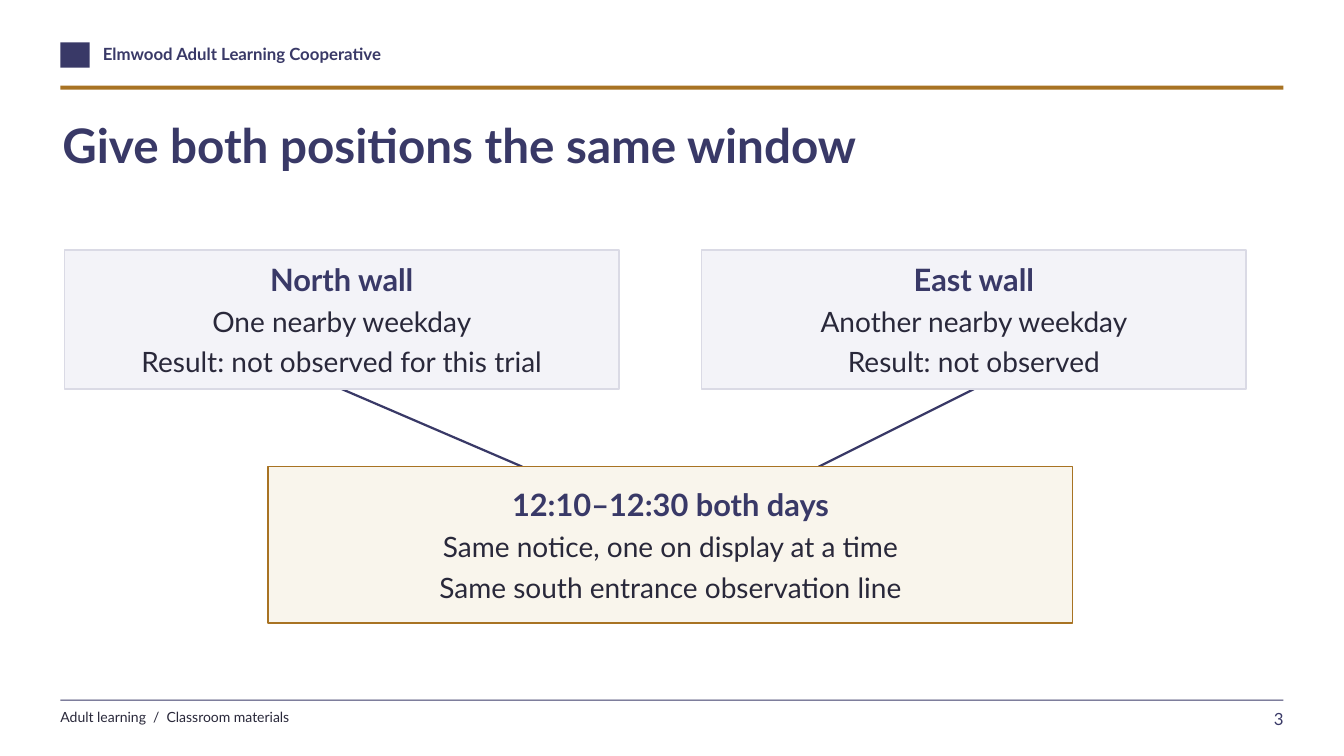
from dataclasses import dataclass

from lxml.etree import SubElement
from pptx import Presentation
from pptx.dml.color import RGBColor
from pptx.enum.shapes import MSO_CONNECTOR, MSO_SHAPE
from pptx.enum.text import MSO_ANCHOR, PP_ALIGN
from pptx.oxml.ns import qn
from pptx.util import Pt

PX = 9144  # EMU per px, 100 px to the inch


@dataclass(frozen=True)
class Theme:
    font: str = "Lato"
    navy: str = "393967"
    gold: str = "A87323"
    ink: str = "29283A"
    mist: str = "F3F3F8"
    mist_edge: str = "DADAE5"
    cream: str = "F9F5EC"
    title_size: int = 34
    heading_size: int = 22
    body_size: int = 20
    label_size: int = 12
    footer_size: int = 10
    border: float = 1.1
    link: float = 1.6


THEME = Theme()
SLIDE_SIZE = (1333, 750)
MARGIN, CONTENT_WIDTH = 60, 1213

# Content: text, box (left, top, width, height), size, colour, bold, alignment
LABELS = [
    ("Elmwood Adult Learning Cooperative", (102, 43, 600, 28),
     THEME.label_size, THEME.navy, True, PP_ALIGN.LEFT),
    ("Give both positions the same window", (62, 115, 1200, 105),
     THEME.title_size, THEME.navy, True, PP_ALIGN.LEFT),
    ("Adult learning  /  Classroom materials", (MARGIN, 703, 700, 23),
     THEME.footer_size, THEME.ink, False, PP_ALIGN.LEFT),
    ("3", (1195, 703, 78, 25),
     THEME.label_size, THEME.navy, False, PP_ALIGN.RIGHT),
]
# Walls: lines of text, box, x where the link meets the shared window
WALLS = [
    (["North wall", "One nearby weekday", "Result: not observed for this trial"],
     (64, 248, 550, 138), 518),
    (["East wall", "Another nearby weekday", "Result: not observed"],
     (696, 248, 540, 138), 812),
]
WINDOW_LINES = ["12:10–12:30 both days", "Same notice, one on display at a time",
                "Same south entrance observation line"]
WINDOW_BOX = (266, 463, 798, 155)

HEADER_BLOCK = (MARGIN, 42, 29, 25)
# Rules: top, height, colour
RULES = [(85, 4, THEME.gold), (694, 1, THEME.navy)]


def emu(lengths):
    return [length * PX for length in lengths]


def style(paragraph, size, color, bold):
    font = paragraph.font
    font.name, font.size, font.bold = THEME.font, Pt(size), bold
    font.color.rgb = RGBColor.from_string(color)


def add_rectangle(slide, box, fill, edge=None):
    shape = slide.shapes.add_shape(MSO_SHAPE.RECTANGLE, *emu(box))
    shape.shadow.inherit = False
    shape.fill.solid()
    shape.fill.fore_color.rgb = RGBColor.from_string(fill)
    if edge:
        shape.line.color.rgb = RGBColor.from_string(edge)
        shape.line.width = Pt(THEME.border)
    else:
        shape.line.fill.background()
    return shape


def add_label(slide, text, box, size, color, bold, alignment):
    frame = slide.shapes.add_textbox(*emu(box)).text_frame
    frame.word_wrap = True
    frame.margin_left = frame.margin_top = 0
    frame.margin_right = frame.margin_bottom = 0
    paragraph = frame.paragraphs[0]
    paragraph.text = text
    paragraph.alignment = alignment
    style(paragraph, size, color, bold)


def add_card(slide, lines, box, fill, edge):
    """Add a rectangle with a bold heading above centred body lines."""
    card = add_rectangle(slide, box, fill, edge)
    frame = card.text_frame
    frame.word_wrap = True
    frame.vertical_anchor = MSO_ANCHOR.MIDDLE
    frame.text = "\n".join(lines)
    for index, paragraph in enumerate(frame.paragraphs):
        paragraph.alignment = PP_ALIGN.CENTER
        if index < len(lines) - 1:
            paragraph.space_after = Pt(5)
        if index == 0:
            style(paragraph, THEME.heading_size, THEME.navy, True)
        else:
            style(paragraph, THEME.body_size, THEME.ink, False)
    return card


def add_link(slide, wall_box, end_x):
    """Add a line from the bottom of a wall card to the shared window."""
    left, top, width, height = wall_box
    ends = emu((left + width // 2, top + height, end_x, WINDOW_BOX[1]))
    link = slide.shapes.add_connector(MSO_CONNECTOR.STRAIGHT, *ends)
    link.line.color.rgb = RGBColor.from_string(THEME.navy)
    link.line.width = Pt(THEME.link)
    SubElement(link._element.spPr, qn("a:effectLst"))
    return link


def main():
    presentation = Presentation()
    presentation.slide_width, presentation.slide_height = emu(SLIDE_SIZE)
    slide = presentation.slides.add_slide(presentation.slide_layouts[6])

    add_rectangle(slide, HEADER_BLOCK, THEME.navy)
    for top, height, color in RULES:
        add_rectangle(slide, (MARGIN, top, CONTENT_WIDTH, height), color)
    for label in LABELS:
        add_label(slide, *label)

    links = [add_link(slide, box, end_x) for _, box, end_x in WALLS]
    for link, (lines, box, _) in zip(links, WALLS):
        card = add_card(slide, lines, box, THEME.mist, THEME.mist_edge)
        link.begin_connect(card, 2)
    add_card(slide, WINDOW_LINES, WINDOW_BOX, THEME.cream, THEME.gold)

    presentation.save("out.pptx")


if __name__ == "__main__":
    main()
